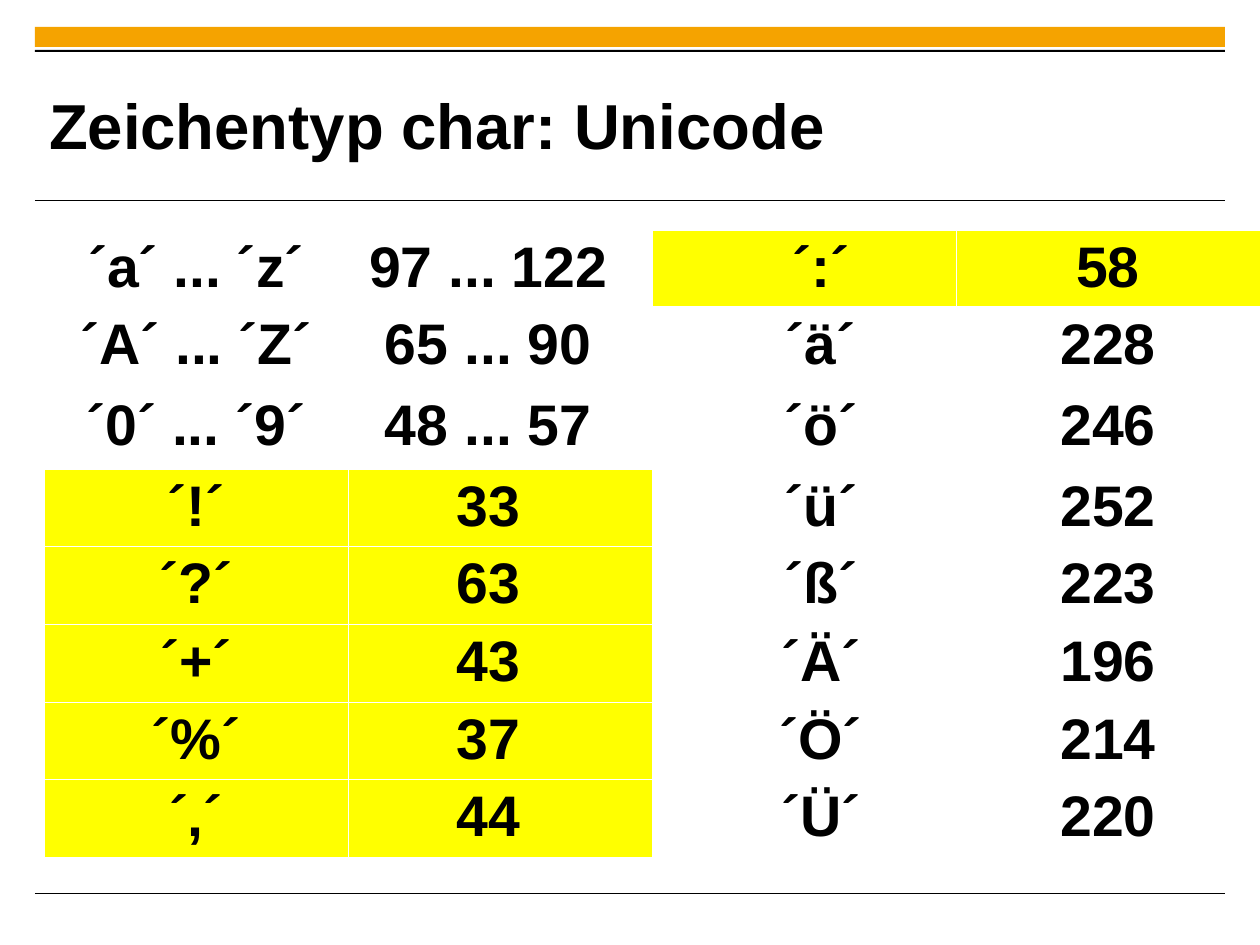
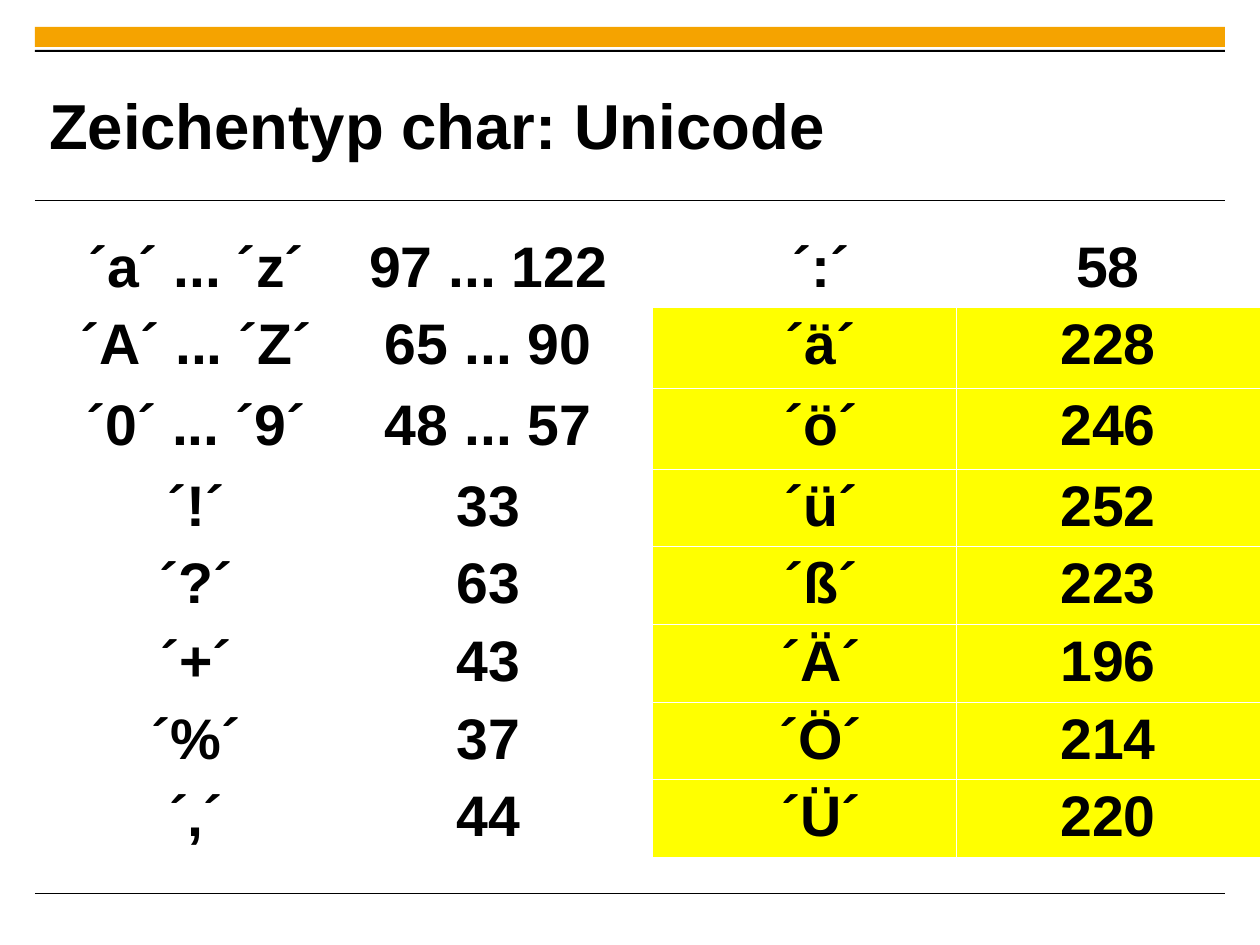
from lxml import etree
from pptx import Presentation
from pptx.dml.color import RGBColor
from pptx.enum.shapes import MSO_CONNECTOR, MSO_SHAPE
from pptx.enum.text import MSO_ANCHOR, MSO_AUTO_SIZE, PP_ALIGN
from pptx.oxml.ns import qn
from pptx.util import Pt

EMU_PER_PX = 8000
LINE = MSO_CONNECTOR.STRAIGHT
RECTANGLE = MSO_SHAPE.RECTANGLE
MIDDLE = MSO_ANCHOR.MIDDLE
NO_AUTOFIT = MSO_AUTO_SIZE.NONE
LEFT, CENTER = PP_ALIGN.LEFT, PP_ALIGN.CENTER
TITLE_ONLY = 5

COLORS = {"ink": "000000", "accent": "F5A300", "paper": "FFFFFF", "mark": "FFFF00"}

CHAR_CODES = [
    ("´a´ ... ´z´", "97 ... 122", "´:´", "58"),
    ("´A´ ... ´Z´", "65 ... 90", "´ä´", "228"),
    ("´0´ ... ´9´", "48 ... 57", "´ö´", "246"),
    ("´!´", "33", "´ü´", "252"),
    ("´?´", "63", "´ß´", "223"),
    ("´+´", "43", "´Ä´", "196"),
    ("´%´", "37", "´Ö´", "214"),
    ("´,´", "44", "´Ü´", "220"),
]
COLUMN_WIDTH = 304
ROW_HEIGHTS = [77, 81, 81, 77, 78, 78, 77, 78]
HEADER_RULE, GRID_RULE = 1.47, 0.45

LEFT_PAIR, RIGHT_PAIR = (0, 1), (2, 3)
PUNCTUATION = {(r, c) for r in range(3, 8) for c in LEFT_PAIR} | {(0, c) for c in RIGHT_PAIR}
GERMAN_LETTERS = {(r, c) for r in range(1, 8) for c in RIGHT_PAIR}


def px(length):
    return length * EMU_PER_PX


def rgb(name):
    return RGBColor.from_string(COLORS[name])


class Deck:
    """Holds the shared style and the slide being built."""

    font_name = "Arial"
    margin, content_width = 35, 1190

    def __init__(self):
        self.presentation = Presentation()
        self.presentation.slide_width = px(1260)
        self.presentation.slide_height = px(945)
        self.slide = None

    def new_slide(self, title):
        layout = self.presentation.slide_layouts[TITLE_ONLY]
        self.slide = self.presentation.slides.add_slide(layout)
        self.band(27, 20, "accent")
        self.rule(200)
        self.rule(894)
        self.band(50, 2, "ink")
        self.title(title)

    def band(self, top, height, color):
        band = self.slide.shapes.add_shape(
            RECTANGLE, px(self.margin), px(top), px(self.content_width), px(height))
        band.shadow.inherit = False
        band.fill.solid()
        band.fill.fore_color.rgb = rgb(color)
        band.line.fill.background()

    def rule(self, y):
        rule = self.slide.shapes.add_connector(
            LINE, px(self.margin), px(y), px(self.margin + self.content_width), px(y))
        rule.line.color.rgb = rgb("ink")
        rule.line.width = Pt(0.6)
        etree.SubElement(rule._element.spPr, qn("a:effectLst"))

    def title(self, text):
        title = self.slide.shapes.title
        title.left, title.top, title.width, title.height = px(49), px(67), px(948), px(115)
        frame = title.text_frame
        frame.text = text
        frame.word_wrap = True
        frame.auto_size = NO_AUTOFIT
        frame.vertical_anchor = MIDDLE
        frame.margin_left = frame.margin_right = frame.margin_top = frame.margin_bottom = 0
        self.format_text(frame.paragraphs[0], 40, LEFT)

    def format_text(self, paragraph, size, alignment):
        paragraph.alignment = alignment
        for run in paragraph.runs:
            run.font.name = self.font_name
            run.font.size = Pt(size)
            run.font.bold = True
            run.font.color.rgb = rgb("ink")

    def code_table(self, marked):
        """Draws the character codes; marked holds the (row, column) pairs to highlight."""
        rows, columns = len(CHAR_CODES), len(CHAR_CODES[0])
        table = self.slide.shapes.add_table(
            rows, columns, px(44), px(230),
            px(columns * COLUMN_WIDTH), px(sum(ROW_HEIGHTS))).table
        table.first_row = table.horz_banding = False
        for column in table.columns:
            column.width = px(COLUMN_WIDTH)
        for r, (height, codes) in enumerate(zip(ROW_HEIGHTS, CHAR_CODES)):
            table.rows[r].height = px(height)
            for c, text in enumerate(codes):
                cell = table.cell(r, c)
                cell.text_frame.text = text
                self.format_text(cell.text_frame.paragraphs[0], 36, CENTER)
                if c == LEFT_PAIR[1]:
                    cell.margin_right = px(35)
                elif c == RIGHT_PAIR[0]:
                    cell.margin_left = px(45)
                self.cell_borders(cell,
                                  top=HEADER_RULE if r == 1 else GRID_RULE,
                                  bottom=HEADER_RULE if r == 0 else GRID_RULE)
                cell.fill.solid()
                cell.fill.fore_color.rgb = rgb("mark" if (r, c) in marked else "paper")

    def cell_borders(self, cell, top, bottom):
        properties = cell._tc.get_or_add_tcPr()
        widths = {"L": GRID_RULE, "R": GRID_RULE, "T": top, "B": bottom}
        for side, width in widths.items():
            border = etree.SubElement(properties, qn(f"a:ln{side}"), w=str(int(Pt(width))))
            fill = etree.SubElement(border, qn("a:solidFill"))
            etree.SubElement(fill, qn("a:srgbClr"), val=COLORS["paper"])


def main():
    deck = Deck()
    for marked in (PUNCTUATION, GERMAN_LETTERS):
        deck.new_slide("Zeichentyp char: Unicode")
        deck.code_table(marked)
    deck.presentation.save("out.pptx")


if __name__ == "__main__":
    main()
